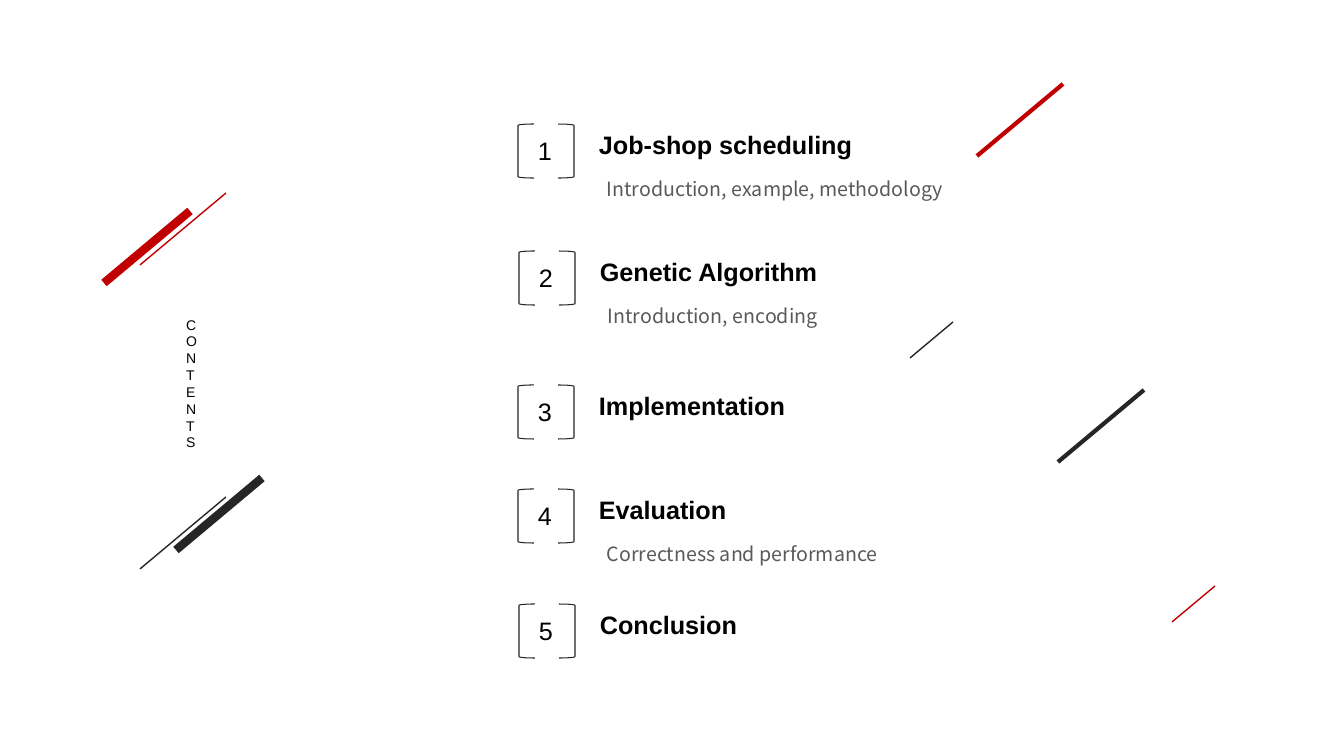
from dataclasses import dataclass

from lxml import etree
from pptx import Presentation
from pptx.dml.color import RGBColor
from pptx.enum.shapes import MSO_CONNECTOR, MSO_SHAPE
from pptx.enum.text import MSO_ANCHOR, MSO_AUTO_SIZE, PP_ALIGN
from pptx.oxml.ns import qn
from pptx.util import Pt

STRAIGHT = MSO_CONNECTOR.STRAIGHT
LEFT_BRACKET = MSO_SHAPE.LEFT_BRACKET
RIGHT_BRACKET = MSO_SHAPE.RIGHT_BRACKET
TOP = MSO_ANCHOR.TOP
NO_FIT = MSO_AUTO_SIZE.NONE
LEFT = PP_ALIGN.LEFT

EMU_PER_PIXEL = 914400 / 100.8
PAGE_SIZE = (1344, 756)
TITLE_ONLY = 5


@dataclass(frozen=True)
class Theme:
    red: str = "C00000"
    dark: str = "262626"
    black: str = "000000"
    grey: str = "595959"
    font: str = "Arial"
    detail_font: str = "Noto Sans CJK SC"
    contents_size: int = 10
    item_size: int = 18
    detail_size: int = 14
    bracket_width: float = 0.75


THEME = Theme()
HEADING = {"name": THEME.font, "size": Pt(THEME.item_size), "bold": True}
NUMBER = {"name": THEME.font, "size": Pt(THEME.item_size)}
DETAIL = {"name": THEME.detail_font, "size": Pt(THEME.detail_size)}
CONTENTS = {"name": THEME.font, "size": Pt(THEME.contents_size), "bold": False}

# Agenda: left and top of the brackets, heading, detail
AGENDA = [
    (518, 124, "Job-shop scheduling", "Introduction, example, methodology"),
    (519, 251, "Genetic Algorithm", "Introduction, encoding"),
    (518, 385, "Implementation", None),
    (518, 489, "Evaluation", "Correctness and performance"),
    (519, 604, "Conclusion", None),
]

# Diagonal strokes: left, bottom, width, height, colour, weight
RED_PAIR = [
    (104, 283, 86, 72, THEME.red, 6),
    (140, 265, 86, 72, THEME.red, 1),
]
DARK_PAIR = [
    (176, 550, 86, 72, THEME.dark, 6),
    (140, 569, 86, 72, THEME.dark, 1),
]
SINGLE_STROKES = [
    (977, 156, 86, 72, THEME.red, 3),
    (910, 358, 43, 36, THEME.dark, 1),
    (1172, 622, 43, 36, THEME.red, 1),
    (1058, 462, 86, 72, THEME.dark, 3),
]


def emu(*pixels):
    return [round(value * EMU_PER_PIXEL) for value in pixels]


def write(box, text, style, colour):
    frame = box.text_frame
    layout = {"word_wrap": True, "auto_size": NO_FIT, "vertical_anchor": TOP}
    for name, value in layout.items():
        setattr(frame, name, value)
    para = frame.paragraphs[0]
    para.alignment = LEFT
    span = para.add_run()
    span.text = text
    for name, value in style.items():
        setattr(span.font, name, value)
    span.font.color.rgb = RGBColor.from_string(colour)


def add_label(parent, place, text, style, colour=THEME.black):
    write(parent.shapes.add_textbox(*emu(*place)), text, style, colour)


def style_line(line, colour, weight):
    line.color.rgb = RGBColor.from_string(colour)
    line.width = Pt(weight)


def add_stroke(parent, left, bottom, width, height, colour, weight):
    ends = emu(left + width, bottom - height, left, bottom)
    stroke = parent.shapes.add_connector(STRAIGHT, *ends)
    style_line(stroke.line, colour, weight)
    properties = stroke._element.find(qn("p:spPr"))
    etree.SubElement(properties, qn("a:effectLst"))


def add_bracket(parent, kind, left, top):
    bracket = parent.shapes.add_shape(kind, *emu(left, top, 16, 54))
    bracket.shadow.inherit = False
    bracket.fill.background()
    style_line(bracket.line, THEME.dark, THEME.bracket_width)


def add_agenda_item(page, number, left, top, heading, detail):
    group = page.shapes.add_group_shape()
    add_label(group, (left + 10, top + 6, 34, 40), str(number), NUMBER)
    add_bracket(group, LEFT_BRACKET, left, top)
    add_bracket(group, RIGHT_BRACKET, left + 40, top)
    add_label(group, (left + 71, top, 275, 40), heading, HEADING)
    if detail:
        place = (left + 79, top + 48, 461, 34)
        add_label(group, place, detail, DETAIL, THEME.grey)


def add_contents_title(page):
    title = page.shapes.title
    place = emu(176, 311, 25, 146)
    for name, value in zip(("left", "top", "width", "height"), place):
        setattr(title, name, value)
    # The narrow box stacks the word one letter per line
    write(title, "CONTENTS", CONTENTS, THEME.black)


def main():
    deck = Presentation()
    deck.slide_width, deck.slide_height = emu(*PAGE_SIZE)
    page = deck.slides.add_slide(deck.slide_layouts[TITLE_ONLY])

    # Title between two pairs of strokes
    add_contents_title(page)
    for pair in (RED_PAIR, DARK_PAIR):
        group = page.shapes.add_group_shape()
        for stroke in pair:
            add_stroke(group, *stroke)

    # Numbered agenda
    for number, item in enumerate(AGENDA, start=1):
        add_agenda_item(page, number, *item)

    # Strokes on the right
    for stroke in SINGLE_STROKES:
        add_stroke(page, *stroke)

    deck.save("out.pptx")


main()
